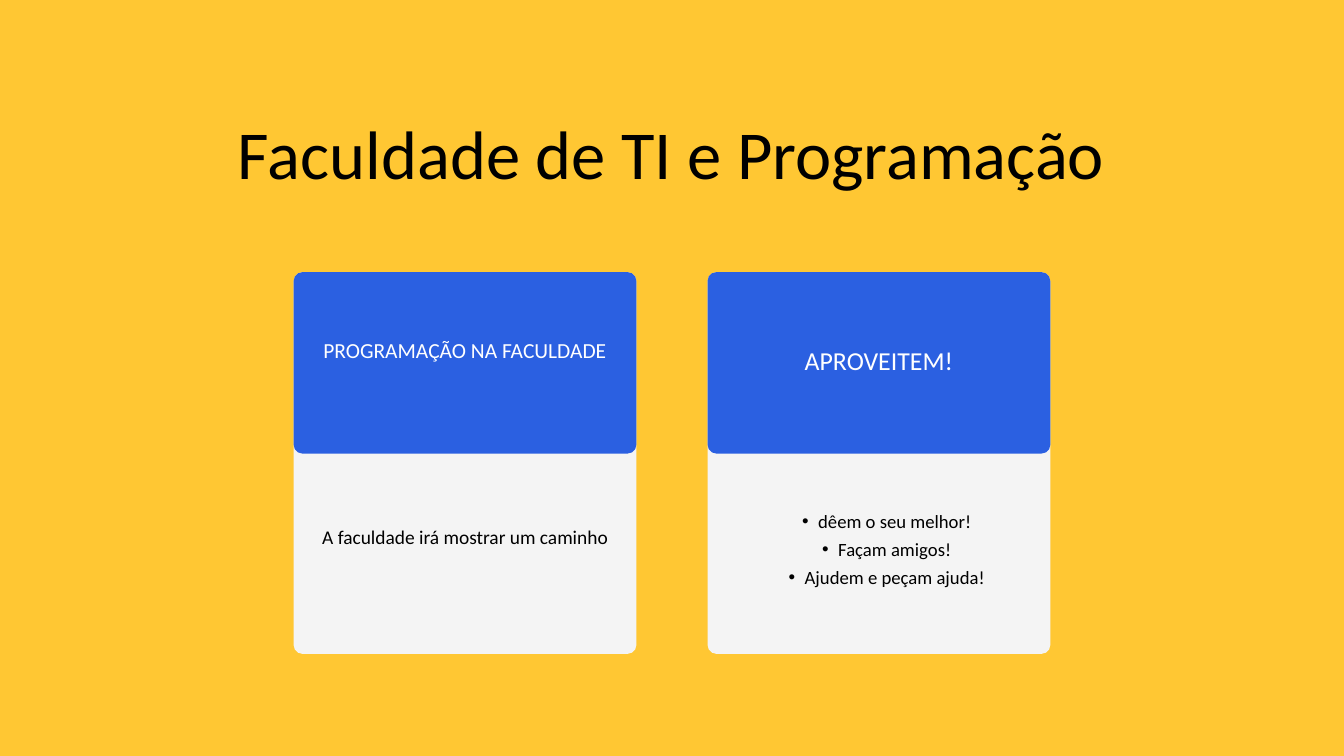
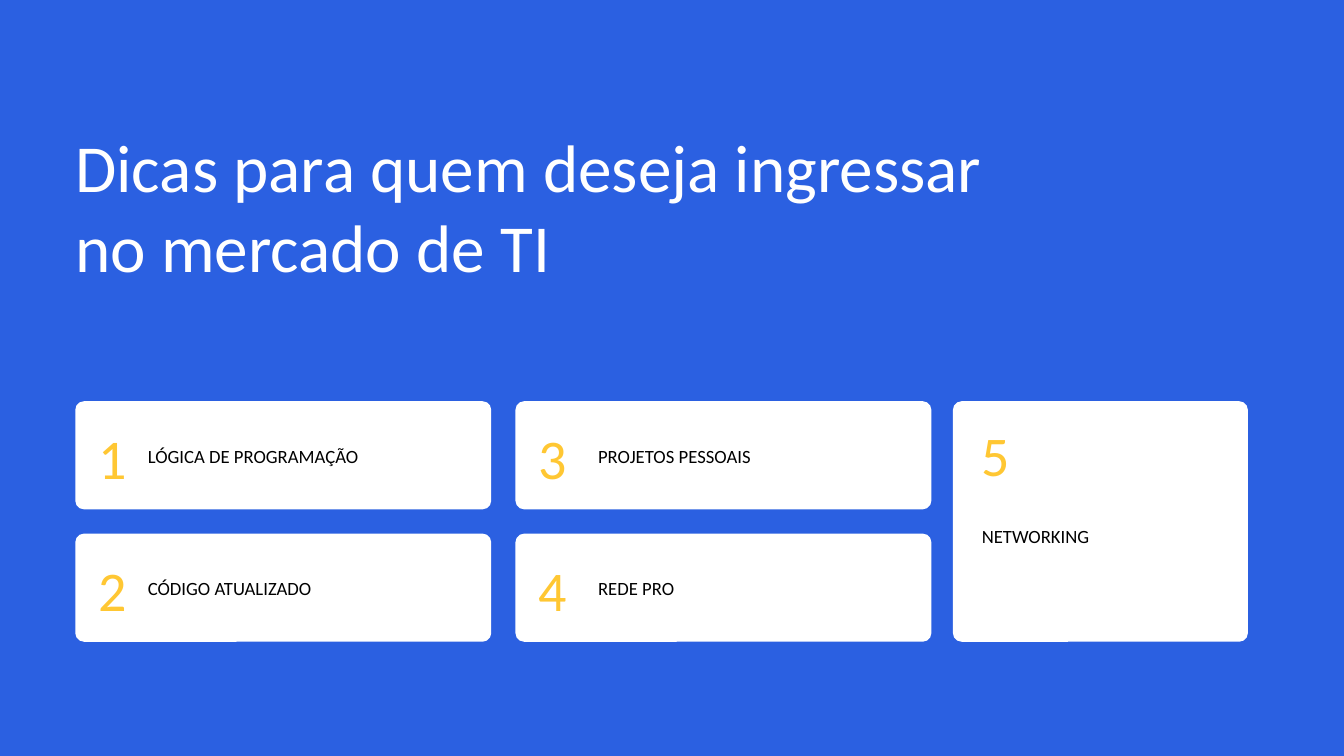
from lxml import etree
from pptx import Presentation, util as u
from pptx.dml.color import RGBColor
from pptx.enum import shapes, text
from pptx.oxml.ns import qn

PX = 9144  # EMU per px, 100 px to the inch
YELLOW = RGBColor(0xFF, 0xC7, 0x33)
BLUE = RGBColor(0x2B, 0x60, 0xE1)
GREY = RGBColor(0xF4, 0xF4, 0xF4)
WHITE = RGBColor(0xFF, 0xFF, 0xFF)
BLACK = RGBColor(0, 0, 0)
FONT = "Calibri"
RADIUS = 13
LEFT, CENTER = text.PP_ALIGN.LEFT, text.PP_ALIGN.CENTER


def add_bullet(paragraph):
    paragraph.level = 1
    props = paragraph._p.get_or_add_pPr()
    props.set("marL", str(47 * PX))
    props.set("indent", str(-24 * PX))
    etree.SubElement(props, qn("a:buFont")).set("typeface", "Arial")
    etree.SubElement(props, qn("a:buChar")).set("char", "•")


def write(frame, *lines, size=20, color=BLACK, align=LEFT, leading=1.5, bullets=False):
    """Fill a text frame; leading is a multiple of the font size."""
    frame.margin_left = frame.margin_right = frame.margin_top = frame.margin_bottom = 0
    frame.word_wrap = True
    frame.auto_size = text.MSO_AUTO_SIZE.NONE
    frame.vertical_anchor = text.MSO_ANCHOR.TOP
    for index, line in enumerate(lines):
        paragraph = frame.add_paragraph() if index else frame.paragraphs[0]
        if bullets:
            add_bullet(paragraph)
        paragraph.alignment = align
        paragraph.line_spacing = u.Pt(round(size * leading, 1))
        paragraph.space_before = paragraph.space_after = u.Pt(0)
        run = paragraph.add_run()
        run.text = line
        run.font.name, run.font.size = FONT, u.Pt(size)
        run.font.color.rgb = color


class Deck:
    def __init__(self):
        self.prs = Presentation()
        self.prs.slide_width, self.prs.slide_height = 2000 * PX, 1125 * PX
        self.slide = None

    def new_slide(self, background):
        self.slide = self.prs.slides.add_slide(self.prs.slide_layouts[5])
        self.slide.background.fill.solid()
        self.slide.background.fill.fore_color.rgb = background

    def title(self, wording, x, y, w, h, **style):
        title = self.slide.shapes.title
        title.left, title.top, title.width, title.height = (n * PX for n in (x, y, w, h))
        write(title.text_frame, wording, leading=1.2, **style)

    def panel(self, x, y, w, h, color):
        panel = self.slide.shapes.add_shape(
            shapes.MSO_SHAPE.ROUNDED_RECTANGLE, x * PX, y * PX, w * PX, h * PX)
        panel.adjustments[0] = RADIUS / min(w, h)
        panel.shadow.inherit = False
        panel.fill.solid()
        panel.fill.fore_color.rgb = color
        panel.line.fill.background()

    def label(self, x, y, w, h, *lines, **style):
        box = self.slide.shapes.add_textbox(x * PX, y * PX, w * PX, h * PX)
        write(box.text_frame, *lines, **style)

    def number(self, value, x, y, align=CENTER):
        self.label(x, y, 72, 101, str(value), size=60, color=YELLOW, align=align, leading=1.2)


def college_slide(deck):
    deck.new_slide(YELLOW)
    deck.title("Faculdade de TI e Programação", 129, 165, 1741, 123, size=73.5, align=CENTER)

    # Two cards: blue heading over a grey body
    top, width, inset = 405, 510, 42
    inner = width - 2 * inset
    cards = [
        (437, "PROGRAMAÇÃO NA FACULDADE", 23, 498,
         ["A faculdade irá mostrar um caminho"], 20.8, 772, False),
        (1053, "APROVEITEM!", 27.7, 509,
         ["dêem o seu melhor!", "Façam amigos!", "Ajudem e peçam ajuda!"], 20, 751, True),
    ]
    for x, heading, heading_size, heading_y, body, body_size, body_y, bullets in cards:
        deck.panel(x, top, width, 568, GREY)
        deck.panel(x, top, width, 270, BLUE)
        deck.label(x + inset, heading_y, inner, 60, heading,
                   size=heading_size, color=WHITE, align=CENTER, leading=1.3)
        deck.label(x + inset, body_y, inner, 125, *body,
                   size=body_size, align=CENTER, bullets=bullets)


def tips_slide(deck):
    deck.new_slide(BLUE)
    deck.title("Dicas para quem deseja ingressar no mercado de TI",
               112, 186, 1384, 240, size=72, color=WHITE)

    # Tips 1 to 4 run down two columns
    left, top, width, height = 112, 597, 619, 161
    column_step, row_step = 655, 197
    label_insets = (108, 123)
    tips = ["LÓGICA DE PROGRAMAÇÃO", "CÓDIGO ATUALIZADO", "PROJETOS PESSOAIS", "REDE PRO"]
    for index, tip in enumerate(tips):
        column, row = divmod(index, 2)
        x, y = left + column * column_step, top + row * row_step
        inset = label_insets[column]
        deck.panel(x, y, width, height, WHITE)
        deck.number(index + 1, x + 19, y + 33)
        deck.label(x + inset, y + 56, width - inset - 30, 42, tip)

    # Tip 5 spans both rows
    tall_x = 1418
    deck.panel(tall_x, top, 439, row_step + height, WHITE)
    deck.number(5, tall_x + 43, top + 29, align=LEFT)
    deck.label(tall_x + 43, top + 175, 357, 42, "NETWORKING")


def main():
    deck = Deck()
    college_slide(deck)
    tips_slide(deck)
    deck.prs.save("out.pptx")


if __name__ == "__main__":
    main()
